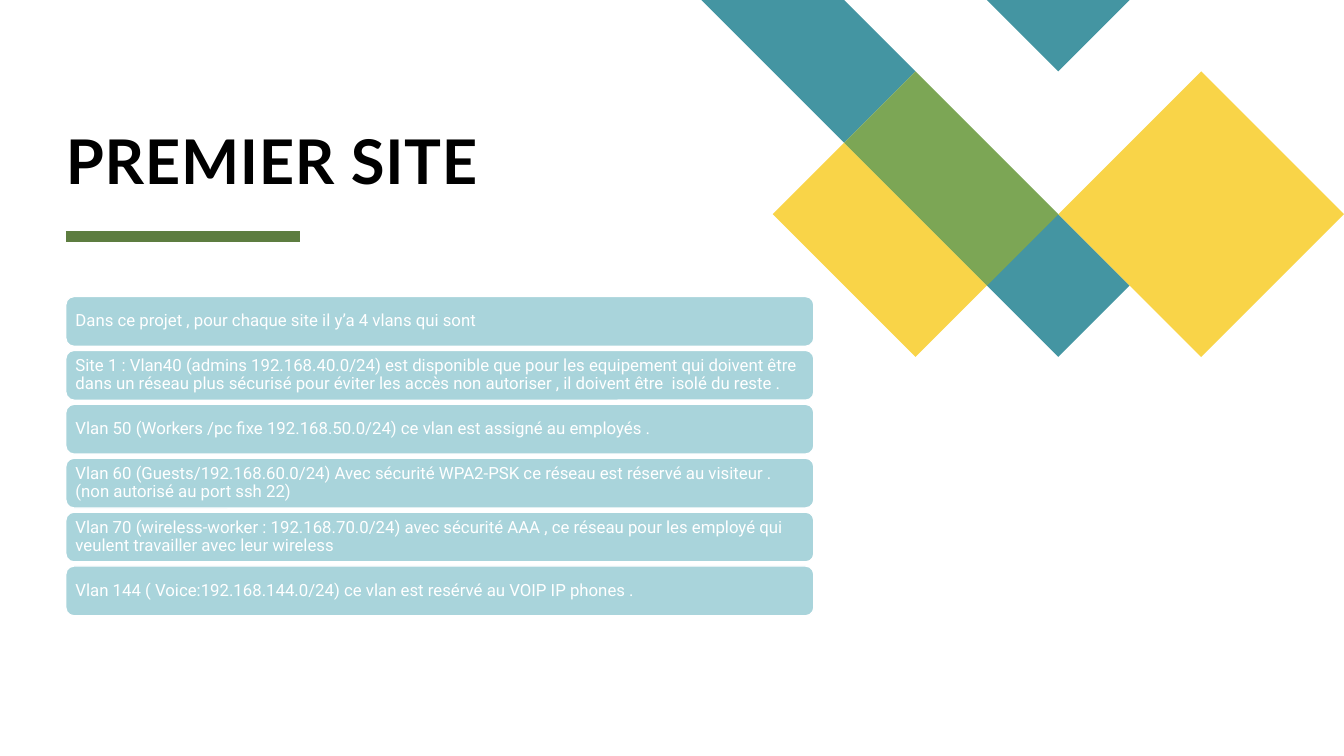
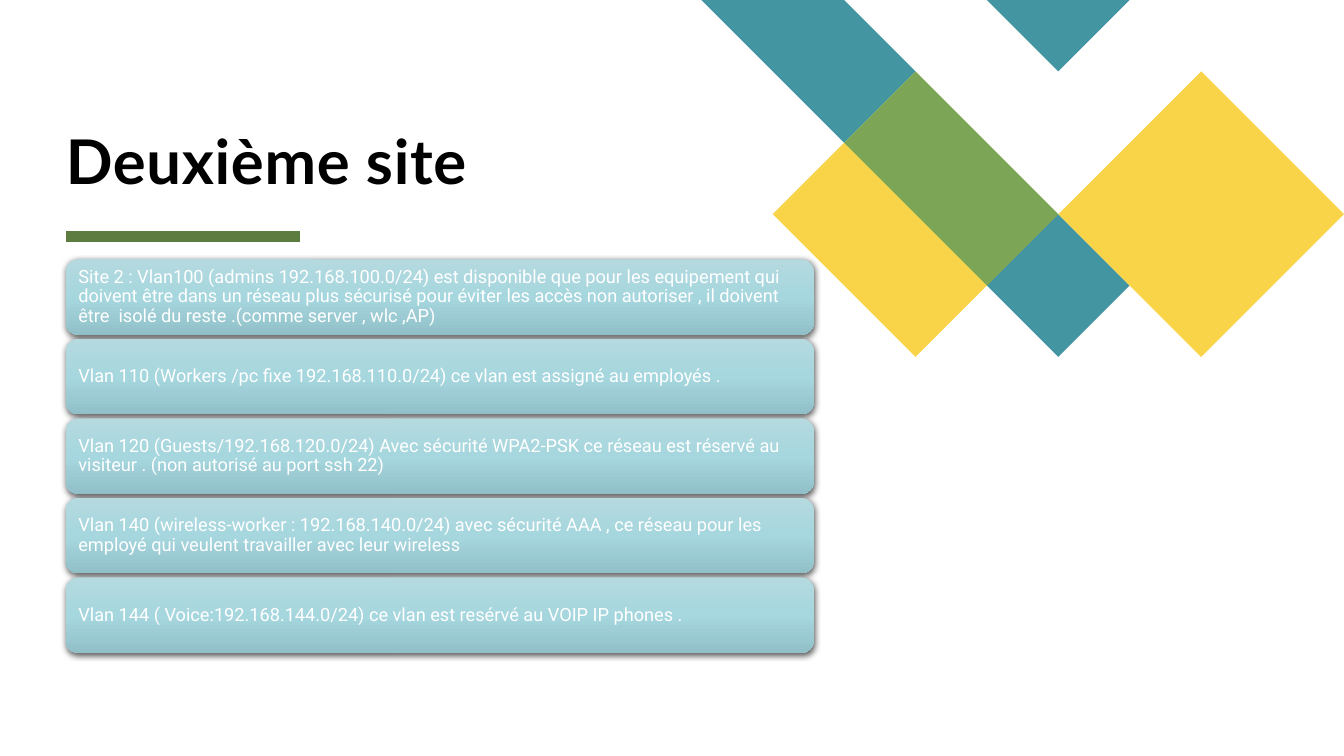
from pptx import Presentation
from pptx.dml.color import RGBColor
from pptx.enum.shapes import MSO_CONNECTOR, MSO_SHAPE
from pptx.enum.text import MSO_ANCHOR, MSO_AUTO_SIZE, PP_ALIGN
from pptx.oxml import parse_xml
from pptx.oxml.ns import nsdecls, qn
from pptx.util import Pt

TEAL = RGBColor(0x44, 0x95, 0xA2)
YELLOW = RGBColor(0xF9, 0xD4, 0x48)
GREEN = RGBColor(0x7C, 0xA6, 0x55)
DARK_GREEN = RGBColor(0x5D, 0x7D, 0x40)
PALE_TEAL = RGBColor(0xA9, 0xD4, 0xDB)
BLACK = RGBColor(0, 0, 0)
WHITE = RGBColor(0xFF, 0xFF, 0xFF)
GRADIENT = [
    (0, RGBColor(0xB4, 0xDA, 0xE0)),
    (50, RGBColor(0xA6, 0xD6, 0xDE)),
    (100, RGBColor(0x91, 0xC0, 0xC8)),
]

LEFT, WIDTH = 47, 534.4
LATTICE_LEFT, LATTICE_STEP = 501, 51
LATTICE_SHAPES = [
    (TEAL, [(0, 0), (2, 0), (3, 1), (2, 2)]),
    (TEAL, [(5, 3), (6, 4), (5, 5), (4, 4)]),
    (YELLOW, [(2, 2), (4, 4), (3, 5), (1, 3)]),
    (TEAL, [(4, 0), (6, 0), (5, 1)]),
    (GREEN, [(3, 1), (5, 3), (4, 4), (2, 2)]),
    (YELLOW, [(7, 1), (9, 3), (7, 5), (5, 3)]),
]

TITLE_FONT = {"name": "Lato", "size": Pt(44), "bold": True}
FLAT_CARDS = {"top": 211.8, "height": 35.6, "step": 38.5, "inset": 5.2, "size": 12, "raised": False}
RAISED_CARDS = {"top": 185.2, "height": 54, "step": 56.8, "inset": 6.4, "size": 13, "raised": True}

FIRST_SITE = [
    "Dans ce projet , pour chaque site il y’a 4 vlans qui sont",
    "Site 1 : Vlan40 (admins 192.168.40.0/24) est disponible que pour les equipement qui doivent être "
    "dans un réseau plus sécurisé pour éviter les accès non autoriser , il doivent être  isolé du reste .",
    "Vlan 50 (Workers /pc fixe 192.168.50.0/24) ce vlan est assigné au employés .",
    "Vlan 60 (Guests/192.168.60.0/24) Avec sécurité WPA2-PSK ce réseau est réservé au visiteur . "
    "(non autorisé au port ssh 22)",
    "Vlan 70 (wireless-worker : 192.168.70.0/24) avec sécurité AAA , ce réseau pour les employé qui "
    "veulent travailler avec leur wireless",
    "Vlan 144 ( Voice:192.168.144.0/24) ce vlan est resérvé au VOIP IP phones .",
]
SECOND_SITE = [
    "Site 2 : Vlan100 (admins 192.168.100.0/24) est disponible que pour les equipement qui doivent être "
    "dans un réseau plus sécurisé pour éviter les accès non autoriser , il doivent être  isolé du reste "
    ".(comme server , wlc ,AP)",
    "Vlan 110 (Workers /pc fixe 192.168.110.0/24) ce vlan est assigné au employés .",
    "Vlan 120 (Guests/192.168.120.0/24) Avec sécurité WPA2-PSK ce réseau est réservé au visiteur . "
    "(non autorisé au port ssh 22)",
    "Vlan 140 (wireless-worker : 192.168.140.0/24) avec sécurité AAA , ce réseau pour les employé qui "
    "veulent travailler avec leur wireless",
    "Vlan 144 ( Voice:192.168.144.0/24) ce vlan est resérvé au VOIP IP phones .",
]


def apply_format(target, values):
    """Set each attribute of target from a dict of format values."""
    for name, value in values.items():
        setattr(target, name, value)


def write_text(box, text, font, color, spacing, frame_format):
    """Fill a shape with one left-aligned paragraph and return its span."""
    frame = box.text_frame
    apply_format(frame, {"word_wrap": True, "auto_size": MSO_AUTO_SIZE.NONE, **frame_format})
    para = frame.paragraphs[0]
    apply_format(para, {"alignment": PP_ALIGN.LEFT, "line_spacing": spacing})
    span = para.add_run()
    span.text = text
    apply_format(span.font, font)
    span.font.color.rgb = color
    return span


def add_lattice(page):
    """Draw the coloured diamonds and bands on their diagonal lattice."""
    for color, nodes in LATTICE_SHAPES:
        points = [
            (Pt(LATTICE_LEFT + column * LATTICE_STEP), Pt(row * LATTICE_STEP))
            for column, row in nodes
        ]
        builder = page.shapes.build_freeform(*points[0])
        builder.add_line_segments(points[1:], close=True)
        shape = builder.convert_to_shape()
        shape.shadow.inherit = False
        shape.fill.solid()
        shape.fill.fore_color.rgb = color
        shape.line.fill.background()


def add_title_rule(page):
    """Draw the thick rule under the title."""
    rule = page.shapes.add_connector(
        MSO_CONNECTOR.STRAIGHT, Pt(LEFT), Pt(169.2), Pt(214.4), Pt(169.2)
    )
    rule.line.color.rgb = DARK_GREEN
    rule.line.width = Pt(8)
    rule._element.spPr.append(parse_xml(f"<a:effectLst {nsdecls('a')}/>"))


def set_title(page, text):
    """Place and format the title placeholder."""
    title = page.shapes.title
    apply_format(title, {"left": Pt(LEFT), "top": Pt(15), "width": Pt(WIDTH), "height": Pt(125.4)})
    margins = {f"margin_{side}": 0 for side in ("left", "top", "right", "bottom")}
    span = write_text(
        title, text, TITLE_FONT, BLACK, 0.8, {"vertical_anchor": MSO_ANCHOR.BOTTOM, **margins}
    )
    span._r.get_or_add_rPr().set("spc", "50")


def raise_card(card):
    """Give a card its vertical gradient and soft shadow."""
    card.line.fill.background()
    stops = "".join(
        f'<a:gs pos="{position * 1000}"><a:srgbClr val="{color}"/></a:gs>'
        for position, color in GRADIENT
    )
    properties = card._element.spPr
    properties.find(qn("a:prstGeom")).addnext(parse_xml(
        f'<a:gradFill {nsdecls("a")} rotWithShape="1"><a:gsLst>{stops}</a:gsLst>'
        '<a:lin ang="5400000" scaled="0"/></a:gradFill>'
    ))
    properties.find(qn("a:effectLst")).append(parse_xml(
        f'<a:outerShdw {nsdecls("a")} blurRad="{Pt(4.5)}" dist="{Pt(1.5)}" dir="5400000" '
        'algn="ctr" rotWithShape="0"><a:srgbClr val="000000"><a:alpha val="63000"/>'
        '</a:srgbClr></a:outerShdw>'
    ))


def flatten_card(card):
    """Give a card a plain fill and a thin white outline."""
    card.fill.solid()
    card.fill.fore_color.rgb = PALE_TEAL
    card.line.color.rgb = WHITE
    card.line.width = Pt(1)


def add_cards(page, texts, style):
    """Stack one rounded card for each text."""
    margins = {f"margin_{side}": Pt(style["inset"]) for side in ("left", "top", "right", "bottom")}
    for index, text in enumerate(texts):
        card = page.shapes.add_shape(
            MSO_SHAPE.ROUNDED_RECTANGLE, Pt(LEFT), Pt(style["top"] + index * style["step"]),
            Pt(WIDTH), Pt(style["height"]),
        )
        card.shadow.inherit = False
        if style["raised"]:
            raise_card(card)
        else:
            flatten_card(card)
        font = {"name": "Roboto", "size": Pt(style["size"])}
        write_text(card, text, font, WHITE, 0.9, {"vertical_anchor": MSO_ANCHOR.MIDDLE, **margins})


def add_site_page(deck, title, texts, style):
    """Add one site slide with its decoration, title and cards."""
    page = deck.slides.add_slide(deck.slide_layouts[5])
    add_lattice(page)
    add_title_rule(page)
    set_title(page, title)
    add_cards(page, texts, style)


def main():
    """Build the deck and save it."""
    deck = Presentation()
    apply_format(deck, {"slide_width": Pt(960), "slide_height": Pt(540)})
    add_site_page(deck, "PREMIER SITE", FIRST_SITE, FLAT_CARDS)
    add_site_page(deck, "Deuxième site", SECOND_SITE, RAISED_CARDS)
    deck.save("out.pptx")


if __name__ == "__main__":
    main()
